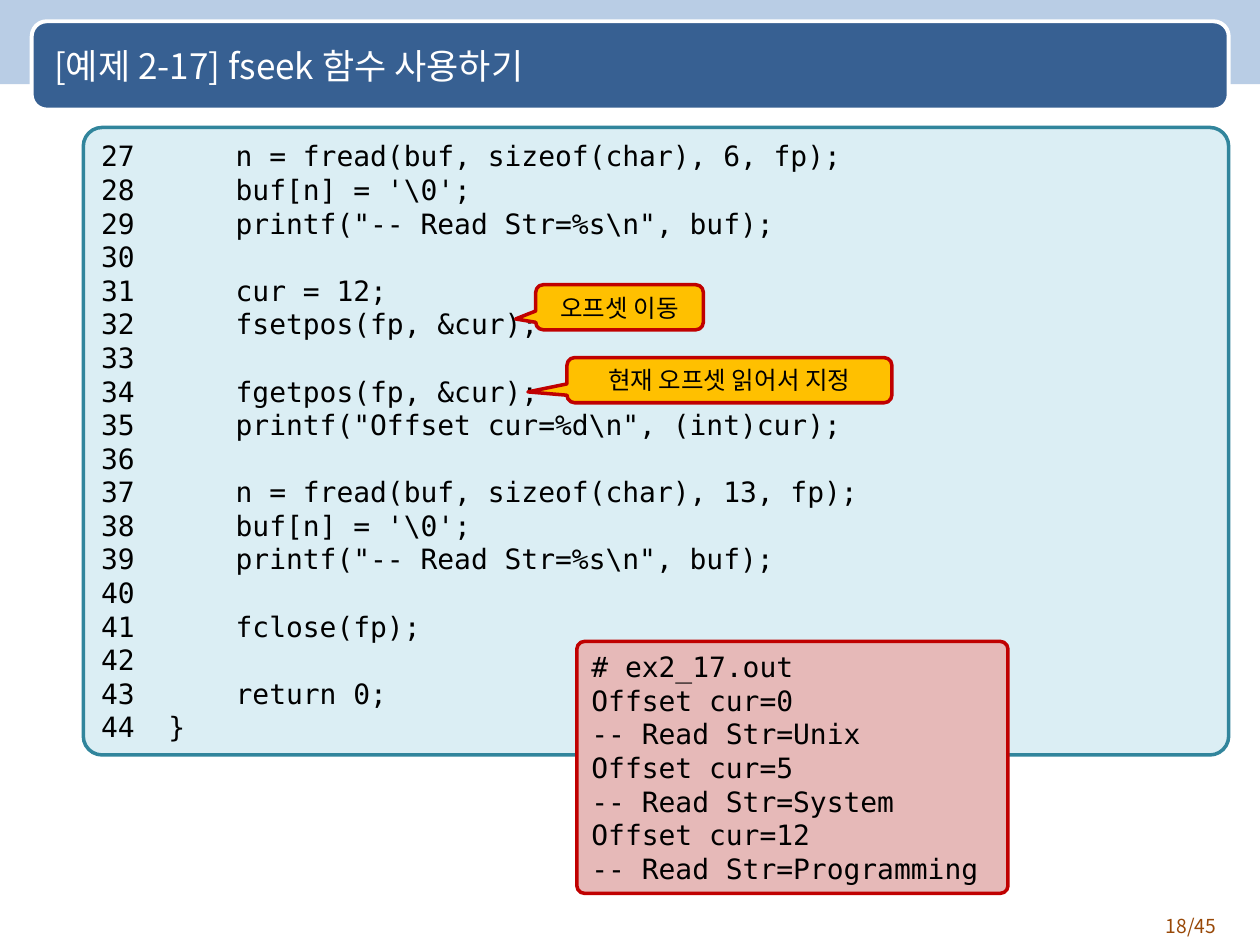
from pptx import Presentation
from pptx.dml.color import RGBColor as Rgb
from pptx.enum.shapes import MSO_SHAPE as Kind
from pptx.enum.text import MSO_ANCHOR as Anchor, MSO_AUTO_SIZE as Auto, PP_ALIGN as Align
from pptx.oxml.ns import qn
from pptx.util import Cm, Pt
from lxml.etree import SubElement

SKY = Rgb(0xB9, 0xCD, 0xE5)
NAVY = Rgb(0x37, 0x60, 0x92)
WHITE = Rgb(0xFF, 0xFF, 0xFF)
BLACK = Rgb(0, 0, 0)
BROWN = Rgb(0x98, 0x48, 0x07)
ICE = Rgb(0xDB, 0xEE, 0xF4)
TEAL = Rgb(0x31, 0x85, 0x9C)
PINK = Rgb(0xE6, 0xB9, 0xB8)
RED = Rgb(0xC0, 0, 0)
GOLD = Rgb(0xFF, 0xC0, 0)

SANS = "Noto Sans CJK KR"
MONO = "DejaVu Sans Mono"

FIRST = 27
CODE = r"""
    n = fread(buf, sizeof(char), 6, fp);
    buf[n] = '\0';
    printf("-- Read Str=%s\n", buf);

    cur = 12;
    fsetpos(fp, &cur);

    fgetpos(fp, &cur);
    printf("Offset cur=%d\n", (int)cur);

    n = fread(buf, sizeof(char), 13, fp);
    buf[n] = '\0';
    printf("-- Read Str=%s\n", buf);

    fclose(fp);

    return 0;
}
""".strip("\n").split("\n")

OUTPUT = """
# ex2_17.out
Offset cur=0
-- Read Str=Unix
Offset cur=5
-- Read Str=System
Offset cur=12
-- Read Str=Programming
""".strip().split("\n")

# Callouts: text, left, top, width
NOTES = [
    ("오프셋 이동", 10.8, 5.74, 3.38),
    ("현재 오프셋 읽어서 지정", 11.43, 7.21, 6.55),
]


def add_text(frame, lines, face, size, color, align, hang=0):
    """Fill a text frame, one paragraph a line."""
    frame.word_wrap = True
    style = {"name": face, "size": Pt(size)}
    for i, line in enumerate(lines):
        para = frame.paragraphs[0] if i == 0 else frame.add_paragraph()
        para.alignment = align
        if hang:
            props = para._p.get_or_add_pPr()
            props.set("marL", str(Cm(hang)))
            props.set("indent", str(-Cm(hang)))
        run = para.add_run()
        run.text = line
        for key, value in style.items():
            setattr(run.font, key, value)
        run.font.color.rgb = color
        # Korean letters take the East Asian face
        SubElement(run._r.rPr, qn("a:ea"), typeface=face)


def add_box(slide, kind, place, fill, edge=None, width=2, adjust=()):
    """Draw a flat preset shape."""
    box = slide.shapes.add_shape(kind, *map(Cm, place))
    box.shadow.inherit = False
    box.fill.solid()
    box.fill.fore_color.rgb = fill
    if edge is None:
        box.line.fill.background()
    else:
        box.line.color.rgb = edge
        box.line.width = Pt(width)
    for i, value in enumerate(adjust):
        box.adjustments[i] = value
    return box


def add_panel(slide, place, fill, edge, lines, hang=0):
    """Draw a rounded panel of code text."""
    box = add_box(slide, Kind.ROUNDED_RECTANGLE, place, fill, edge, adjust=[0.03])
    fit_text(box.text_frame)
    add_text(box.text_frame, lines, MONO, 16, BLACK, Align.JUSTIFY, hang)


def add_note(slide, text, left, top, width):
    """Draw a callout that points to the code on its left."""
    box = add_box(slide, Kind.ROUNDED_RECTANGULAR_CALLOUT, (left, top, width, 0.91),
                  GOLD, RED, adjust=[-0.62, 0.26, 0.17])
    fit_text(box.text_frame)
    add_text(box.text_frame, [text], SANS, 14, BLACK, Align.CENTER)


def fit_text(frame):
    form = {"vertical_anchor": Anchor.MIDDLE, "auto_size": Auto.SHAPE_TO_FIT_TEXT}
    for key, value in form.items():
        setattr(frame, key, value)


def add_label(slide, place, text, size, color, align, anchor):
    """Add a plain line of text."""
    frame = slide.shapes.add_textbox(*map(Cm, place)).text_frame
    frame.vertical_anchor = anchor
    add_text(frame, [text], SANS, size, color, align)


def main():
    deck = Presentation()
    deck.slide_width, deck.slide_height = Cm(25.4), Cm(19.05)
    slide = deck.slides.add_slide(deck.slide_layouts[6])

    # Header, page number and title
    add_box(slide, Kind.RECTANGLE, (-0.03, 0, 25.45, 1.7), SKY)
    add_box(slide, Kind.ROUNDED_RECTANGLE, (0.64, 0.43, 24.13, 1.78),
            NAVY, WHITE, 2.25, [0.17])
    add_label(slide, (22.66, 18.31, 2.11, 0.74), "18/45", 11, BROWN,
              Align.RIGHT, Anchor.TOP)
    add_label(slide, (0.84, 0.48, 23.5, 1.7), "[예제 2-17] fseek 함수 사용하기",
              20, WHITE, Align.LEFT, Anchor.MIDDLE)

    # Numbered code and its output
    lines = [f"{n}  {line}" for n, line in enumerate(CODE, FIRST)]
    add_panel(slide, (1.68, 2.57, 23.09, 12.65), ICE, TEAL, lines, 0.97)
    add_panel(slide, (11.63, 12.93, 8.69, 5.08), PINK, RED, OUTPUT)

    # Callouts
    for note in NOTES:
        add_note(slide, *note)

    deck.save("out.pptx")


if __name__ == "__main__":
    main()
